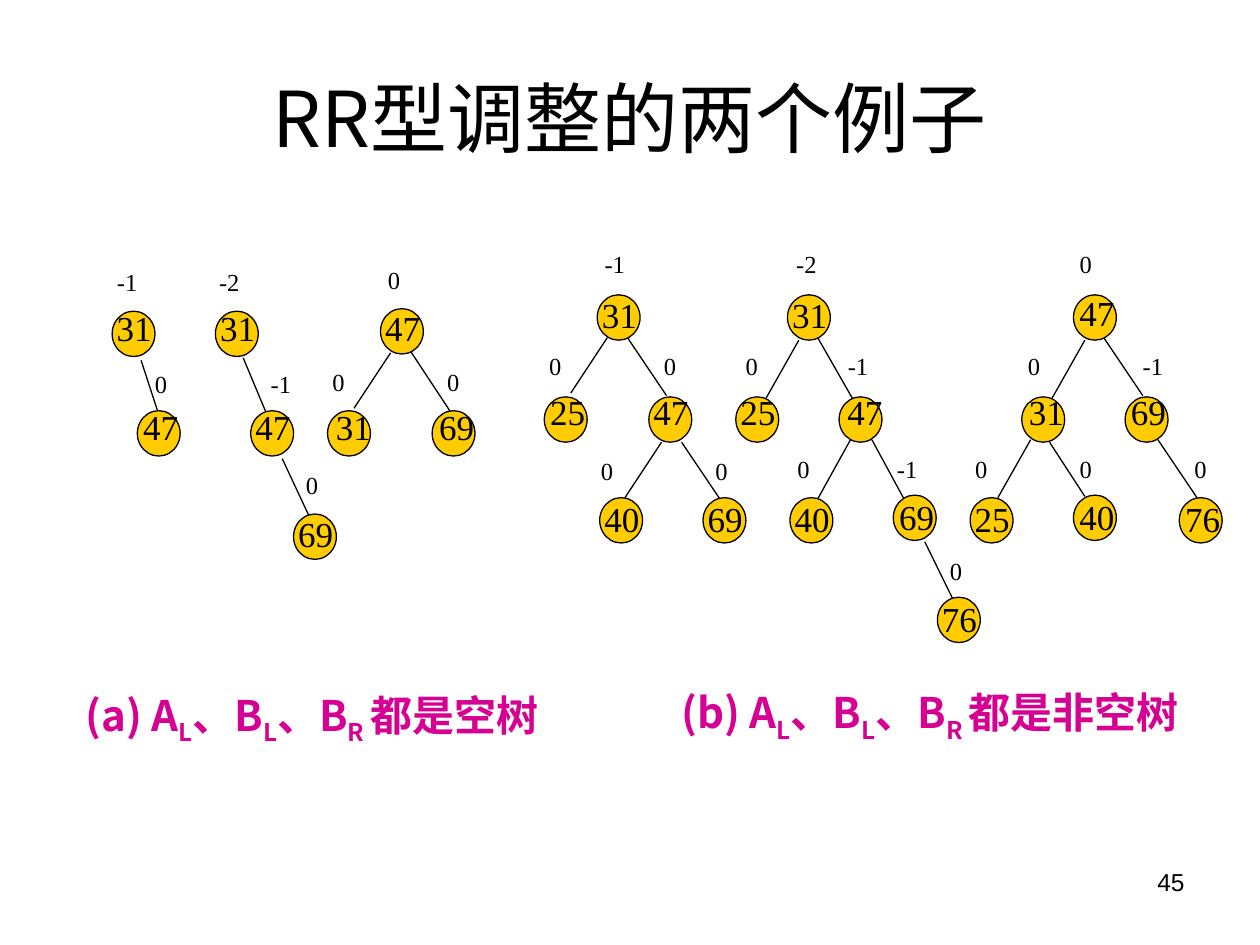
from lxml import etree
from pptx import Presentation
from pptx.dml.color import RGBColor
from pptx.enum import shapes, text
from pptx.oxml.ns import qn
from pptx.util import Inches, Pt

BLACK = RGBColor(0, 0, 0)
GOLD = RGBColor(0xFF, 0xCC, 0x00)
PINK = RGBColor(0xD6, 0x00, 0x93)
SERIF = "Times New Roman"
ALIGN = text.PP_ALIGN

deck = Presentation()
deck.slide_width = Inches(10)
deck.slide_height = Inches(7.5)
slide = deck.slides.add_slide(deck.slide_layouts[6])


def write(spot, parts, size, face, color=BLACK, align=ALIGN.LEFT):
    box = slide.shapes.add_textbox(*[Inches(n) for n in spot])
    frame = box.text_frame
    frame.word_wrap = True
    para = frame.paragraphs[0]
    para.alignment = align
    for part in parts:
        para.add_run().text = part
    font = para.font
    font.size = Pt(size)
    font.name = face
    font.color.rgb = color
    base = para._p.pPr.find(qn("a:defRPr"))
    etree.SubElement(base, qn("a:ea"), typeface=face)
    return frame


title = write((0.5, 0.3, 9, 1.25), ["RR型调整的两个例子"], 44,
              "Noto Sans CJK JP", align=ALIGN.CENTER)
title.vertical_anchor = text.MSO_ANCHOR.MIDDLE
write((7.17, 6.83, 2.33, 0.52), ["45"], 14, "Arial", align=ALIGN.RIGHT)

edges = [
    (1.12, 2.86, 1.26, 3.29), (1.93, 2.84, 2.11, 3.27),
    (2.24, 3.64, 2.45, 4.09), (3.1, 2.8, 2.81, 3.24),
    (3.26, 2.79, 3.57, 3.26),
    (4.82, 2.68, 4.53, 3.12), (4.98, 2.68, 5.29, 3.14),
    (5.25, 3.51, 4.96, 3.95), (5.41, 3.51, 5.72, 3.97),
    (6.34, 2.7, 6.08, 3.16), (6.49, 2.68, 6.77, 3.17),
    (6.75, 3.49, 6.49, 3.96), (6.92, 3.49, 7.18, 3.97),
    (7.34, 4.3, 7.57, 4.77),
    (8.61, 2.7, 8.35, 3.16), (8.76, 2.68, 9.07, 3.14),
    (8.18, 3.49, 7.92, 3.95), (8.33, 3.51, 8.61, 3.94),
    (9.19, 3.49, 9.5, 3.95),
]
for edge in edges:
    line = slide.shapes.add_connector(
        shapes.MSO_CONNECTOR.STRAIGHT, *[Inches(n) for n in edge])
    line.line.color.rgb = BLACK
    line.line.width = Pt(0.75)
    etree.SubElement(line._element.spPr, qn("a:effectLst"))

nodes = [
    (0.89, 2.47, "31", 0.92, 2.43), (1.09, 3.26, "47", 1.13, 3.22),
    (1.71, 2.47, "31", 1.74, 2.43), (1.99, 3.26, "47", 2.02, 3.22),
    (2.33, 4.08, "69", 2.36, 4.07), (3.02, 2.45, "47", 3.05, 2.43),
    (2.6, 3.26, "31", 2.66, 3.22), (3.43, 3.26, "69", 3.48, 3.22),
    (4.74, 2.34, "31", 4.77, 2.33), (4.32, 3.15, "25", 4.36, 3.1),
    (5.15, 3.15, "47", 5.18, 3.1), (4.76, 3.95, "40", 4.79, 3.95),
    (5.58, 3.95, "69", 5.61, 3.95),
    (6.25, 2.34, "31", 6.28, 2.33), (5.84, 3.15, "25", 5.87, 3.1),
    (6.66, 3.15, "47", 6.72, 3.1), (6.27, 3.95, "40", 6.3, 3.95),
    (7.09, 3.93, "69", 7.13, 3.93), (7.44, 4.74, "76", 7.47, 4.74),
    (8.52, 2.34, "47", 8.56, 2.31), (8.11, 3.15, "31", 8.16, 3.1),
    (8.93, 3.15, "69", 8.97, 3.1), (7.7, 3.95, "25", 7.73, 3.95),
    (8.52, 3.93, "40", 8.56, 3.93), (9.36, 3.95, "76", 9.4, 3.95),
]
for x, y, key, left, top in nodes:
    node = slide.shapes.add_shape(
        shapes.MSO_SHAPE.OVAL, Inches(x), Inches(y), Inches(0.34), Inches(0.36))
    node.shadow.inherit = False
    node.fill.solid()
    node.fill.fore_color.rgb = GOLD
    node.line.color.rgb = BLACK
    node.line.width = Pt(0.75)
    frame = write((left, top, 0.29, 0.42), [key], 20, SERIF, align=ALIGN.CENTER)
    frame.margin_left = frame.margin_top = frame.margin_right = 0
    frame.margin_bottom = Inches(0.04)

marks = [
    (0.83, 2.07, "-1"), (1.13, 2.88, "0"), (1.64, 2.07, "-2"),
    (2.05, 2.88, "-1"), (2.33, 3.68, "0"), (2.98, 2.05, "0"),
    (2.54, 2.86, "0"), (3.45, 2.86, "0"),
    (4.7, 1.93, "-1"), (4.26, 2.74, "0"), (5.17, 2.74, "0"),
    (4.67, 3.57, "0"), (5.58, 3.57, "0"),
    (6.22, 1.93, "-2"), (5.82, 2.74, "0"), (6.63, 2.74, "-1"),
    (6.23, 3.55, "0"), (7.02, 3.55, "-1"), (7.44, 4.36, "0"),
    (8.47, 1.93, "0"), (8.06, 2.74, "0"), (8.97, 2.74, "-1"),
    (7.64, 3.55, "0"), (8.47, 3.55, "0"), (9.38, 3.55, "0"),
]
for x, y, mark in marks:
    write((x, y, 0.62, 0.61), [mark], 14, SERIF, align=ALIGN.JUSTIFY)

notes = [
    ((0.58, 5.42, 4.25, 0.71), "(a) A", "都是空树", ALIGN.JUSTIFY, 0.18),
    ((5.31, 5.4, 4.36, 0.5), "(b) A", "都是非空树", ALIGN.LEFT, 0.1),
]
for spot, head, tail, align, inset in notes:
    parts = [head, "L", "、B", "L", "、B", "R ", tail]
    frame = write(spot, parts, 24, "Noto Sans CJK SC", PINK, align)
    frame.margin_right = Inches(inset)
    para = frame.paragraphs[0]
    para.font.bold = True
    for run in para.runs[1::2]:
        run._r.get_or_add_rPr().set("baseline", "-25000")

deck.save("out.pptx")
